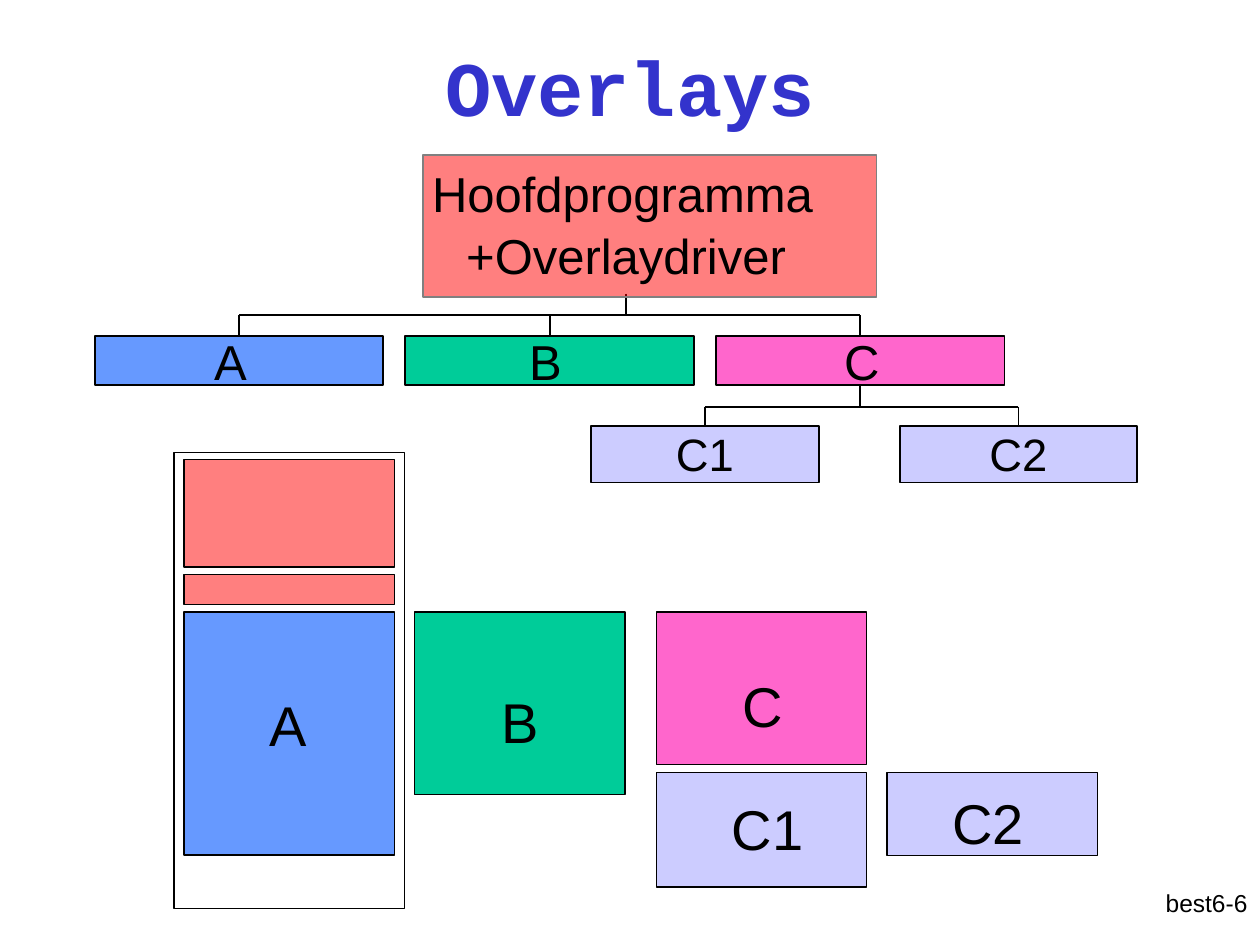
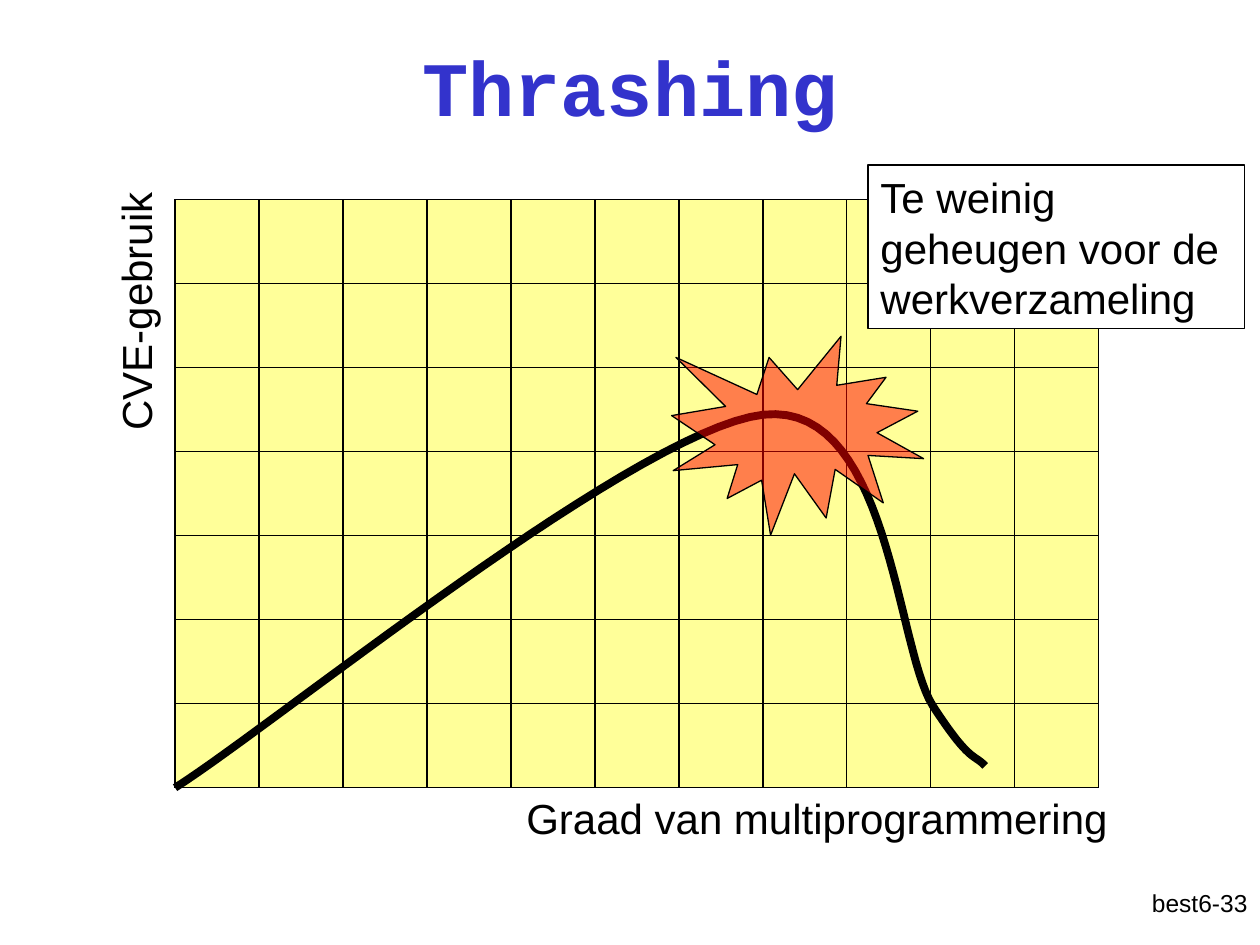
from dataclasses import dataclass
from itertools import pairwise
from typing import Optional

from lxml.etree import SubElement
from pptx import Presentation
from pptx.dml.color import RGBColor
from pptx.enum.shapes import MSO_CONNECTOR, MSO_SHAPE
from pptx.enum.text import MSO_ANCHOR, PP_ALIGN
from pptx.oxml.ns import qn
from pptx.util import Cm, Pt


@dataclass(frozen=True)
class Theme:
    body: str = "Arial"
    head: str = "Courier New"
    ink: str = "000000"
    title: str = "3333CC"
    grey: str = "808080"
    red: str = "FF0000"
    blue: str = "6699FF"
    green: str = "00CC99"
    pink: str = "FF66CC"
    lilac: str = "CCCCFF"
    yellow: str = "FFFF99"
    white: str = "FFFFFF"
    huge: float = 44
    large: float = 32
    mid: float = 28
    small: float = 25.9
    note: float = 24
    foot: float = 14
    thin: float = 0.75
    rule: float = 1
    thick: float = 4.5


T = Theme()


@dataclass(frozen=True)
class Box:
    x: float
    y: float
    w: float
    h: float
    fill: Optional[str] = None
    edge: str = T.ink
    width: float = T.thin
    alpha: int = 100
    kind: MSO_SHAPE = MSO_SHAPE.RECTANGLE


@dataclass(frozen=True)
class Label:
    text: str
    x: float
    y: float
    w: float
    h: float
    size: float
    pad: bool = True
    turn: float = 0
    align: PP_ALIGN = PP_ALIGN.LEFT
    anchor: MSO_ANCHOR = MSO_ANCHOR.TOP
    font: str = T.body
    color: str = T.ink
    bold: bool = False


def rgb(code: str) -> RGBColor:
    return RGBColor.from_string(code)


def write(shape, text: str, size: float, pad: bool = True,
          align: PP_ALIGN = PP_ALIGN.LEFT, anchor: MSO_ANCHOR = MSO_ANCHOR.TOP,
          font: str = T.body, color: str = T.ink, bold: bool = False) -> None:
    frame = shape.text_frame
    frame.text = text
    frame.word_wrap = True
    frame.vertical_anchor = anchor
    frame.margin_left = frame.margin_right = Cm(0.25 if pad else 0)
    frame.margin_top = frame.margin_bottom = Cm(0.13 if pad else 0)
    for para in frame.paragraphs:
        para.alignment = align
        for run in para.runs:
            run.font.name = font
            run.font.size = Pt(size)
            run.font.bold = bold
            run.font.color.rgb = rgb(color)


def put(slide, tag: Label) -> None:
    shape = slide.shapes.add_textbox(Cm(tag.x), Cm(tag.y), Cm(tag.w), Cm(tag.h))
    shape.rotation = tag.turn
    write(shape, tag.text, tag.size, tag.pad, tag.align, tag.anchor,
          tag.font, tag.color, tag.bold)


def draw(slide, box: Box):
    shape = slide.shapes.add_shape(box.kind, Cm(box.x), Cm(box.y), Cm(box.w), Cm(box.h))
    shape.shadow.inherit = False
    shape.line.color.rgb = rgb(box.edge)
    shape.line.width = Pt(box.width)
    if box.fill is None:
        shape.fill.background()
        return shape
    shape.fill.solid()
    shape.fill.fore_color.rgb = rgb(box.fill)
    if box.alpha < 100:
        tint = shape.fill._xPr.find(qn("a:solidFill"))[0]
        SubElement(tint, qn("a:alpha"), val=str(box.alpha * 1000))
    return shape


def link(slide, x1: int, y1: int, x2: int, y2: int, width: float = T.rule):
    line = slide.shapes.add_connector(MSO_CONNECTOR.STRAIGHT, x1, y1, x2, y2)
    line.line.color.rgb = rgb(T.ink)
    line.line.width = Pt(width)
    SubElement(line._element.spPr, qn("a:effectLst"))
    return line


def center(shape) -> int:
    return shape.left + shape.width // 2


def branch(slide, stem: int, bus: int, kids: list) -> None:
    for kid in kids:
        line = link(slide, center(kid), bus, center(kid), kid.top)
        line.end_connect(kid, 0)
    for left, right in pairwise(sorted([stem, *map(center, kids)])):
        link(slide, left, bus, right, bus)


def start(deck, title: str, page: str):
    slide = deck.slides.add_slide(deck.slide_layouts[6])
    put(slide, Label(page, 20.12, 17.78, 5.28, 1.27, T.foot, align=PP_ALIGN.RIGHT))
    put(slide, Label(title, 1.91, 0.13, 21.59, 3.18, T.huge, align=PP_ALIGN.CENTER,
                     anchor=MSO_ANCHOR.MIDDLE, font=T.head, color=T.title, bold=True))
    return slide


def tree(slide) -> None:
    parts = [("A", T.blue, 4.32), ("B", T.green, 10.67), ("C", T.pink, 17.02)]
    nodes = []
    for i, (name, fill, x) in enumerate(parts):
        box = Box(1.91 + 6.26 * i, 6.78, 5.82, 0.99, fill, width=T.rule)
        nodes.append(draw(slide, box))
        put(slide, Label(name, x, 6.68, 1, 1.19, T.mid, pad=False))
    leaves = []
    for name, x, w in [("C1", 11.91, 4.6), ("C2", 18.14, 4.78)]:
        leaf = draw(slide, Box(x, 8.59, w, 1.14, T.lilac, width=T.rule))
        write(leaf, name, T.small, pad=False, align=PP_ALIGN.CENTER)
        leaves.append(leaf)

    stem, bus = Cm(12.62), Cm(6.35)
    link(slide, stem, Cm(5.92), stem, bus)
    branch(slide, stem, bus, nodes)
    last = nodes[-1]
    stem, bus = center(last), Cm(8.2)
    line = link(slide, stem, last.top + last.height, stem, bus)
    line.begin_connect(last, 2)
    branch(slide, stem, bus, leaves)

    draw(slide, Box(8.53, 3.12, 9.14, 2.87, T.red, T.grey, T.rule, 50))
    for text, x, y in [("Hoofdprogramma", 8.71, 3.3), ("+Overlaydriver", 9.4, 4.55)]:
        put(slide, Label(text, x, y, 8.2, 1.19, T.mid, pad=False))


def memory(slide) -> None:
    draw(slide, Box(3.51, 9.12, 4.65, 9.19))
    for x, y, h, fill, alpha in [
        (3.71, 9.27, 2.16, T.red, 50),
        (3.71, 11.58, 0.61, T.red, 50),
        (3.71, 12.34, 4.9, T.blue, 100),
        (8.36, 12.34, 3.68, T.green, 100),
        (13.23, 12.34, 3.07, T.pink, 100),
        (13.23, 15.57, 2.31, T.lilac, 100),
        (17.88, 15.57, 1.68, T.lilac, 100),
    ]:
        draw(slide, Box(x, y, 4.24, h, fill, alpha=alpha))
    for name, x, y in [("A", 5.18, 13.79), ("B", 9.86, 13.72), ("C", 14.71, 13.41),
                       ("C1", 14.5, 15.88), ("C2", 18.95, 15.77)]:
        put(slide, Label(name, x, y, 2.74, 1.63, T.large))


def grid(slide, x: float, y: float, w: float, h: float, cols: int, rows: int) -> None:
    draw(slide, Box(x, y, w, h, T.yellow))
    for i in range(cols + 1):
        at = Cm(x + w * i / cols)
        link(slide, at, Cm(y), at, Cm(y + h), T.thin)
    for i in range(rows + 1):
        at = Cm(y + h * i / rows)
        link(slide, Cm(x), at, Cm(x + w), at, T.thin)


def bezier(knots: list, t: float) -> tuple:
    u = 1 - t
    rates = (u ** 3, 3 * u * u * t, 3 * u * t * t, t ** 3)
    return tuple(Cm(sum(r * k[i] for r, k in zip(rates, knots))) for i in (0, 1))


def curve(slide, knots: list, steps: int = 30) -> None:
    spots = [bezier(knots[i:i + 4], n / steps)
             for i in range(0, len(knots) - 1, 3) for n in range(1, steps + 1)]
    pen = slide.shapes.build_freeform(*bezier(knots[:4], 0))
    pen.add_line_segments(spots, close=False)
    shape = pen.convert_to_shape()
    shape.shadow.inherit = False
    shape.fill.background()
    shape.line.color.rgb = rgb(T.ink)
    shape.line.width = Pt(T.thick)


def main() -> None:
    deck = Presentation()
    deck.slide_width, deck.slide_height = Cm(25.4), Cm(19.05)

    slide = start(deck, "Overlays", "best6-6")
    tree(slide)
    memory(slide)

    slide = start(deck, "Thrashing", "best6-33")
    grid(slide, 3.53, 4.02, 18.62, 11.86, 11, 7)
    put(slide, Label("CVE-gebruik", -0.08, 5.49, 5.61, 1.27, T.note, turn=270))
    put(slide, Label("Graad van multiprogrammering", 10.36, 15.85, 12.52, 1.27, T.note))
    curve(slide, [(3.53, 15.88), (5.51, 14.63), (12.85, 8.64), (15.39, 8.36),
                  (17.93, 8.08), (18.06, 13.03), (18.8, 14.22),
                  (19.56, 15.39), (19.63, 15.19), (19.86, 15.44)])
    draw(slide, Box(13.54, 6.78, 5.08, 4.01, T.red, alpha=50, kind=MSO_SHAPE.EXPLOSION1))
    note = draw(slide, Box(17.5, 3.33, 7.59, 3.3, T.white))
    write(note, "Te weinig geheugen voor de werkverzameling", T.note)

    deck.save("out.pptx")


if __name__ == "__main__":
    main()
